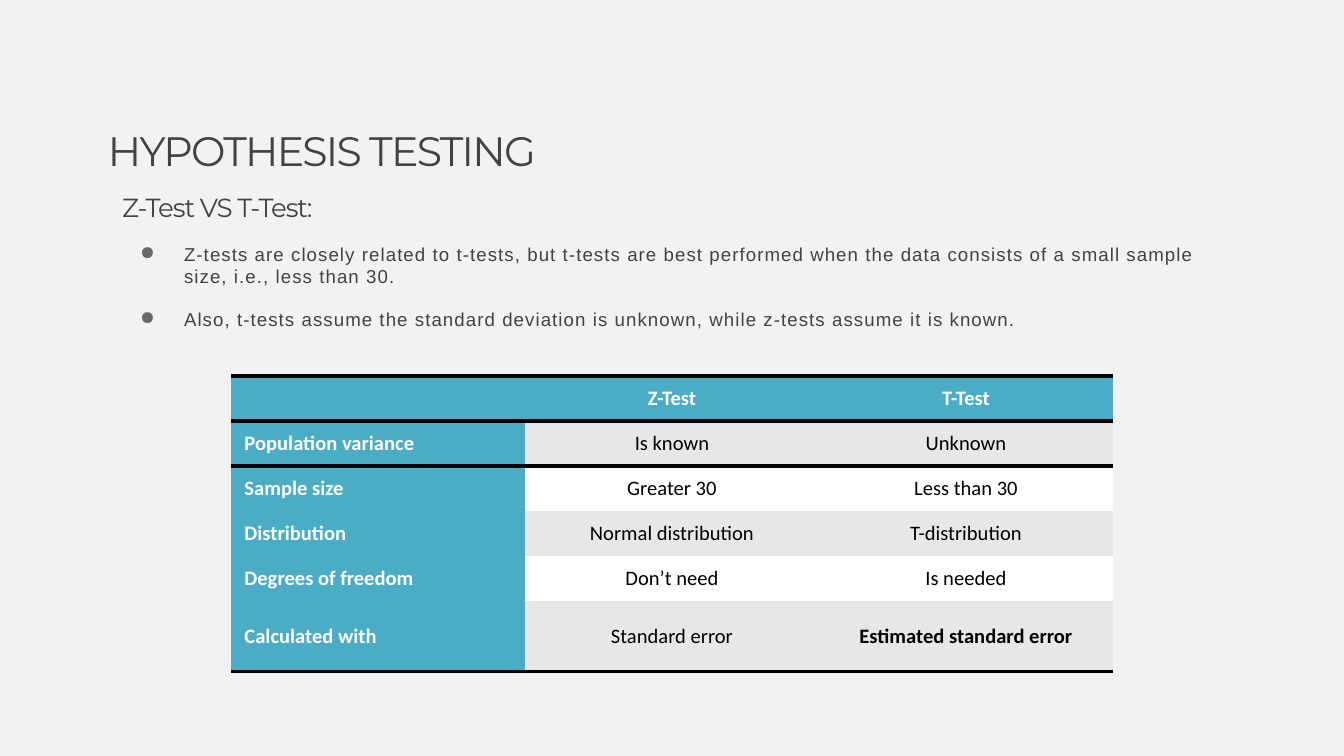
from lxml.etree import SubElement
from pptx import Presentation
from pptx.dml.color import RGBColor
from pptx.enum.text import MSO_ANCHOR, PP_ALIGN
from pptx.oxml.ns import qn
from pptx.util import Pt

PX = 914400 / 134.4
MID, TOP = MSO_ANCHOR.MIDDLE, MSO_ANCHOR.TOP
LEFT, CENTER = PP_ALIGN.LEFT, PP_ALIGN.CENTER
BACK = RGBColor(0xF2, 0xF2, 0xF2)
INK = RGBColor(0x42, 0x42, 0x42)
DOT = RGBColor(0x69, 0x69, 0x69)
TEAL = RGBColor(0x4B, 0xAC, 0xC6)
GREY = RGBColor(0xE7, 0xE7, 0xE7)
WHITE = RGBColor(0xFF, 0xFF, 0xFF)
BLACK = RGBColor(0x00, 0x00, 0x00)
PLAIN = "{2D5ABB26-0587-4C30-8999-92F81FD0307C}"

TITLE = "HYPOTHESIS TESTING"
HEAD = "Z-Test VS T-Test:"
POINTS = [
    "Z-tests are closely related to t-tests, but t-tests are best performed "
    "when the data consists of a small sample size, i.e., less than 30.",
    "Also, t-tests assume the standard deviation is unknown, "
    "while z-tests assume it is known.",
]
ROWS = [
    ("", "Z-Test", "T-Test"),
    ("Population variance", "Is known", "Unknown"),
    ("Sample size", "Greater 30", "Less than 30"),
    ("Distribution", "Normal distribution", "T-distribution"),
    ("Degrees of freedom", "Don’t need", "Is needed"),
    ("Calculated with", "Standard error", "Estimated standard error"),
]
TALLS = [45, 45, 45, 45, 45, 71]


def px(num):
    """Turn px into EMU."""
    return round(num * PX)


def add_run(para, text, face, size, color, bold=False, gap=0):
    """Add one run, with its letter gap in points."""
    run = para.add_run()
    run.text = text
    font = run.font
    font.name, font.size, font.bold = face, Pt(size), bold
    font.color.rgb = color
    if gap:
        font._element.set("spc", str(round(gap * 100)))


def add_box(slide, box, anchor):
    """Add a wrapping text frame without insets."""
    frame = slide.shapes.add_textbox(*map(px, box)).text_frame
    frame.word_wrap = True
    frame.vertical_anchor = anchor
    frame.margin_left = frame.margin_right = 0
    frame.margin_top = frame.margin_bottom = 0
    return frame


def set_para(para, before, after, left, hang=0):
    """Set the spacing and indent of a paragraph."""
    para.space_before, para.space_after = Pt(before), Pt(after)
    props = para._p.get_or_add_pPr()
    props.set("marL", str(px(left)))
    props.set("indent", str(px(-hang)))
    return props


def add_title(slide, box):
    """Place the slide title."""
    frame = add_box(slide, box, MID)
    frame.margin_top = px(1)
    para = frame.paragraphs[0]
    set_para(para, 1, 0, 1)
    add_run(para, TITLE, "Montserrat", 22, INK, gap=-0.9)


def add_body(slide, box):
    """Place the subheading and its bullet points."""
    frame = add_box(slide, box, TOP)
    para = frame.paragraphs[0]
    set_para(para, 1, 6, 1)
    add_run(para, HEAD, "Montserrat", 14, INK, gap=-0.6)
    for text in POINTS:
        para = frame.add_paragraph()
        props = set_para(para, 5, 6, 63, 44)
        tint = SubElement(props, qn("a:buClr"))
        SubElement(tint, qn("a:srgbClr"), val=str(DOT))
        SubElement(props, qn("a:buChar"), char="●")
        add_run(para, text, "Arial", 10, INK, gap=0.6)


def add_rule(cell, side):
    """Draw a black rule on one side of a cell."""
    props = cell._tc.get_or_add_tcPr()
    line = SubElement(props, qn(f"a:{side}"), w=str(Pt(2)))
    fill = SubElement(line, qn("a:solidFill"))
    SubElement(fill, qn("a:srgbClr"), val=str(BLACK))


def fill_cell(cell, text, row, col):
    """Style one cell by its place in the table."""
    last = len(ROWS) - 1
    head = row == 0 or col == 0
    if row < 2:
        add_rule(cell, "lnT")
    if row in (0, last):
        add_rule(cell, "lnB")
    cell.fill.solid()
    cell.fill.fore_color.rgb = TEAL if head else GREY if row % 2 else WHITE
    cell.vertical_anchor = MID
    para = cell.text_frame.paragraphs[0]
    para.alignment = CENTER if col else LEFT
    if text:
        bold = head or (row, col) == (last, 2)
        add_run(para, text, "Calibri", 11, WHITE if head else BLACK, bold)
    else:
        SubElement(para._p, qn("a:endParaRPr"), sz="1100")


def add_grid(slide, box):
    """Place the table that compares both tests."""
    frame = slide.shapes.add_table(len(ROWS), len(ROWS[0]), *map(px, box))
    table = frame.table
    table.first_row = table.horz_banding = False
    table._tbl.tblPr.find(qn("a:tableStyleId")).text = PLAIN
    for col in table.columns:
        col.width = px(box[2] / len(ROWS[0]))
    for row, texts in enumerate(ROWS):
        table.rows[row].height = px(TALLS[row])
        for col, text in enumerate(texts):
            fill_cell(table.cell(row, col), text, row, col)


def main():
    """Build and save the slide."""
    deck = Presentation()
    deck.slide_width, deck.slide_height = px(1344), px(756)
    slide = deck.slides.add_slide(deck.slide_layouts[6])
    slide.background.fill.solid()
    slide.background.fill.fore_color.rgb = BACK
    add_title(slide, (107, 109, 523, 81))
    add_body(slide, (121, 191, 1111, 145))
    add_grid(slide, (231, 376, 882, sum(TALLS)))
    deck.save("out.pptx")


if __name__ == "__main__":
    main()
